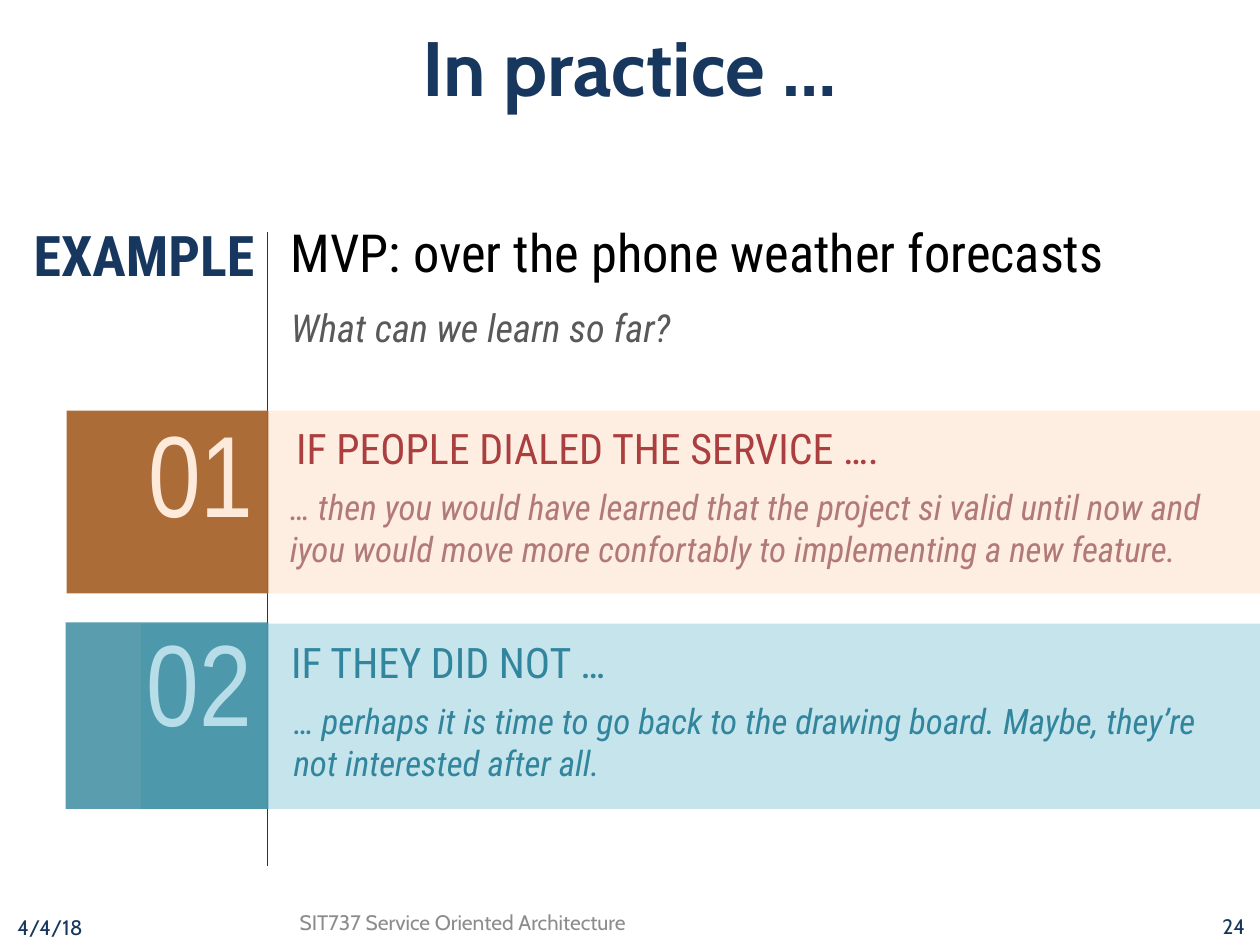
"""Builds the "In practice" slide: an example heading and two numbered outcome bands."""
from dataclasses import dataclass

from lxml import etree
from pptx import Presentation
from pptx.dml.color import RGBColor
from pptx.enum import shapes, text
from pptx.oxml.ns import qn
from pptx.util import Inches, Pt


@dataclass(frozen=True)
class Theme:
    """Fonts, colours and type sizes."""
    head: str = "Cabin"
    body: str = "Roboto Condensed"
    digits: str = "Arial Narrow"
    navy: str = "17375E"
    black: str = "000000"
    grey: str = "595959"
    footer_grey: str = "8C8C8C"
    title_size: int = 44
    label_size: int = 32
    lead_size: int = 30
    question_size: int = 22
    number_size: int = 66
    heading_size: int = 24
    detail_size: int = 20
    footer_size: int = 12


THEME = Theme()
LEFT, CENTER, RIGHT = text.PP_ALIGN.LEFT, text.PP_ALIGN.CENTER, text.PP_ALIGN.RIGHT
MIDDLE = text.MSO_ANCHOR.MIDDLE

TITLE = "In practice …"
LABEL = "EXAMPLE"
LEAD = "MVP: over the phone weather forecasts"
QUESTION = "What can we learn so far?"
FOOTER = [
    ("4/4/18", (0.04, 7.16, 2.33, 0.4), dict(color=THEME.navy, anchor=MIDDLE)),
    ("SIT737 Service Oriented Architecture", (2.28, 7.17, 5.44, 0.4),
     dict(color=THEME.footer_grey)),
    ("24", (7.65, 7.15, 2.33, 0.4),
     dict(color=THEME.navy, align=RIGHT, anchor=MIDDLE)),
]
BANDS = [
    dict(number="01", heading="IF PEOPLE DIALED THE SERVICE ….",
         detail="… then you would have learned that the project si valid until now and "
                "iyou would move more confortably to implementing a new feature.",
         panel=(2.11, 3.26, 7.89, 1.45), tab=(0.53, 3.26, 1.6, 1.45),
         number_at=(0.64, 3.14, 1.47, 1.21), heading_at=(2.15, 3.35, 5.14, 0.4),
         detail_at=(2.1, 3.85, 7.62, 0.67),
         pale="FDEADA", strong="984807", heading_color="AB3E3E", detail_color="B27979"),
    dict(number="02", heading="IF THEY DID NOT …",
         detail="… perhaps it is time to go back to the drawing board. Maybe, they’re "
                "not interested after all.",
         panel=(1.12, 4.95, 8.88, 1.47), tab=(0.52, 4.94, 1.61, 1.48),
         number_at=(0.62, 4.8, 1.48, 1.21), heading_at=(2.11, 5.05, 3.78, 0.4),
         detail_at=(2.13, 5.55, 7.87, 0.67),
         pale="B7DEE8", strong="31859C", heading_color="31859C", detail_color="31859C"),
]


def inches(values):
    return [Inches(value) for value in values]


def write(frame, words, *, size, color, font=THEME.body, bold=False, italic=False,
          align=LEFT, indent=0, before=0, follow=False):
    line = frame.add_paragraph() if follow else frame.paragraphs[0]
    line.alignment = align
    if indent:
        properties = line._p.get_or_add_pPr()
        properties.set("marL", str(Inches(indent)))
        properties.set("indent", "0")
    if before:
        line.space_before = Pt(before)
    run = line.add_run()
    run.text = words
    run.font.name, run.font.size = font, Pt(size)
    run.font.bold, run.font.italic = bold, italic
    run.font.color.rgb = RGBColor.from_string(color)


def add_text(slide, words, at, *, anchor=text.MSO_ANCHOR.TOP,
             insets=(0.1, 0.05, 0.1, 0.05), **look):
    frame = slide.shapes.add_textbox(*inches(at)).text_frame
    frame.word_wrap = True
    frame.vertical_anchor = anchor
    (frame.margin_left, frame.margin_top,
     frame.margin_right, frame.margin_bottom) = inches(insets)
    write(frame, words, **look)
    return frame


def add_panel(slide, at, color, opacity=80):
    panel = slide.shapes.add_shape(shapes.MSO_SHAPE.RECTANGLE, *inches(at))
    panel.shadow.inherit = False
    panel.line.fill.background()
    panel.fill.solid()
    panel.fill.fore_color.rgb = RGBColor.from_string(color)
    tint = panel._element.spPr.find(qn("a:solidFill"))[0]
    etree.SubElement(tint, qn("a:alpha")).set("val", str(opacity * 1000))


def add_divider(slide, x, top, bottom):
    divider = slide.shapes.add_connector(
        shapes.MSO_CONNECTOR.STRAIGHT, *inches((x, top, x, bottom)))
    divider.line.color.rgb = RGBColor.from_string(THEME.navy)
    divider.line.width = Pt(0.25)
    etree.SubElement(divider._element.spPr, qn("a:effectLst"))


def add_band(slide, band):
    flush = dict(insets=(0, 0, 0.12, 0), indent=0.2)
    add_panel(slide, band["panel"], band["pale"])
    add_panel(slide, band["tab"], band["strong"])
    add_text(slide, band["number"], band["number_at"], insets=(0, 0.05, 0.1, 0.05),
             size=THEME.number_size, color=band["pale"], font=THEME.digits, align=RIGHT)
    add_text(slide, band["heading"], band["heading_at"], size=THEME.heading_size,
             color=band["heading_color"], **flush)
    add_text(slide, band["detail"], band["detail_at"], size=THEME.detail_size,
             color=band["detail_color"], italic=True, **flush)


def main():
    deck = Presentation()
    deck.slide_width, deck.slide_height = Inches(10), Inches(7.5)
    slide = deck.slides.add_slide(deck.slide_layouts[6])

    add_text(slide, TITLE, (0, 0, 10, 1.05), anchor=MIDDLE, size=THEME.title_size,
             color=THEME.navy, font=THEME.head, bold=True, align=CENTER)
    for words, at, look in FOOTER:
        add_text(slide, words, at, size=THEME.footer_size, font=THEME.head, **look)

    add_divider(slide, 2.12, 1.84, 6.87)
    intro = add_text(slide, LEAD, (2.21, 1.7, 7.79, 1.14), size=THEME.lead_size,
                     color=THEME.black)
    write(intro, QUESTION, size=THEME.question_size, color=THEME.grey, italic=True,
          before=12, follow=True)
    add_text(slide, LABEL, (0, 1.7, 2.12, 0.64), size=THEME.label_size,
             color=THEME.navy, bold=True, align=RIGHT)

    for band in BANDS:
        add_band(slide, band)
    deck.save("out.pptx")


if __name__ == "__main__":
    main()
